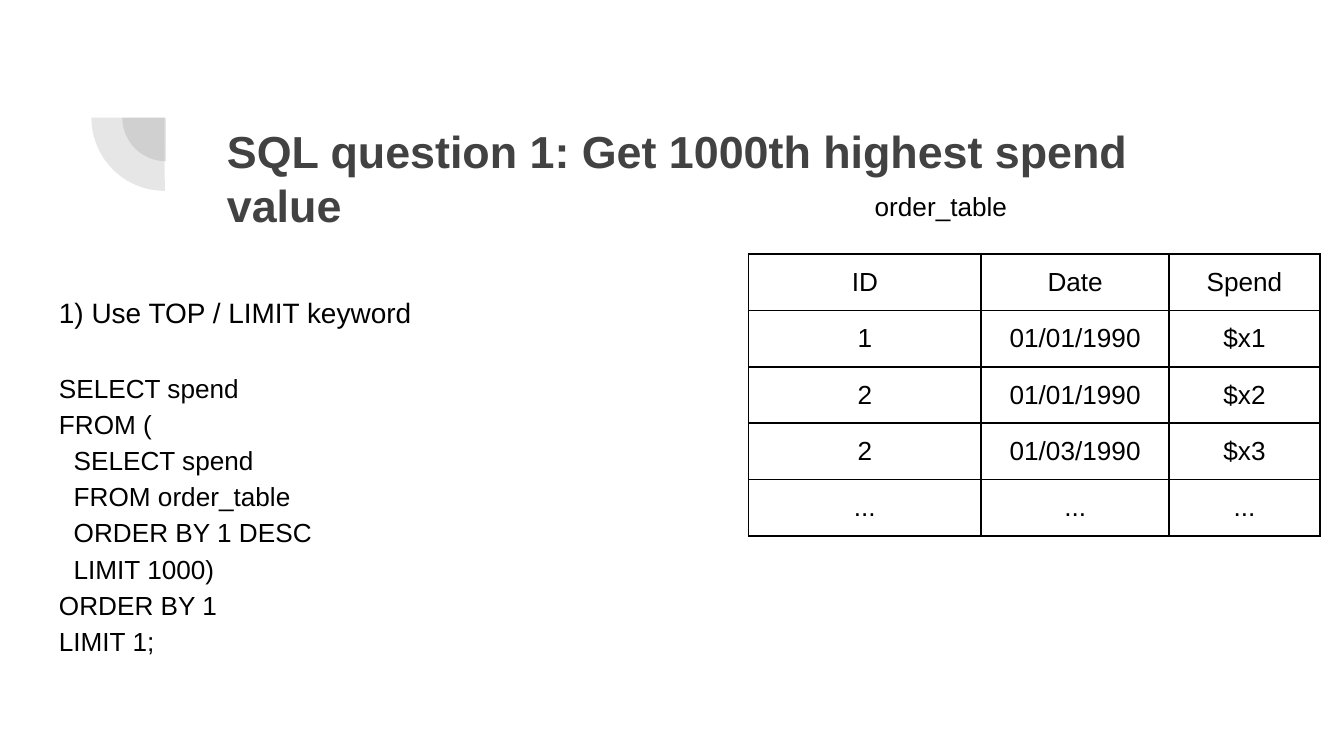
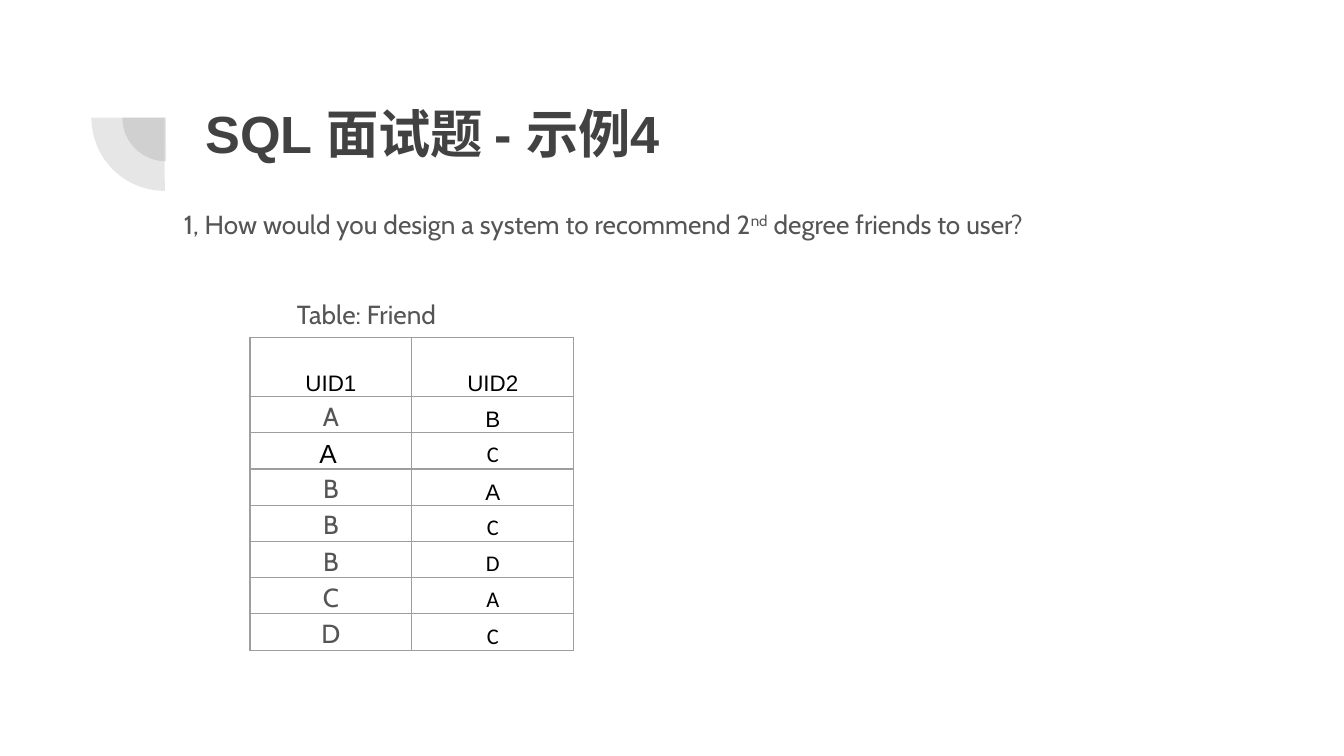
from dataclasses import dataclass
from lxml import etree
from pptx import Presentation
from pptx.dml.color import RGBColor
from pptx.enum.shapes import MSO_SHAPE
from pptx.enum.text import MSO_ANCHOR, PP_ALIGN
from pptx.oxml import parse_xml
from pptx.oxml.ns import nsdecls, qn
from pptx.util import Inches, Pt

PIE = MSO_SHAPE.PIE
TOP, BOTTOM = MSO_ANCHOR.TOP, MSO_ANCHOR.BOTTOM
CENTER = PP_ALIGN.CENTER


@dataclass(frozen=True)
class Theme:
    """Colours and text styles shared by the slides."""
    black: str = "000000"
    dark: str = "424242"
    gray: str = "555555"
    rule: str = "9E9E9E"
    sans: str = "Arial"
    body: str = "Cabin"
    alt: str = "Calibri"
    small: int = 12
    text: int = 14
    lead: int = 15
    head: int = 24
    big: int = 28

    def style(self, size=text, name=sans, color=black, bold=False):
        """Return the format values of one text style."""
        return {"size": Pt(size), "name": name, "bold": bold, "color": color}


class Deck:
    """Holds the theme and the current slide, and draws on it."""

    def __init__(self):
        """Start an empty deck in 16:9."""
        self.theme = Theme()
        self.prs = Presentation()
        self.prs.slide_width = Inches(10)
        self.prs.slide_height = Inches(10 * 9 / 16)

    def page(self):
        """Add a slide with the two quarter discs."""
        self.slide = self.prs.slides.add_slide(self.prs.slide_layouts[6])
        self.disc(0.91, 0.55, 0.65)
        self.disc(0.68, 0.33, 1.09)

    def disc(self, left, top, size):
        """Draw the lower left quarter of a disc."""
        pie = self.slide.shapes.add_shape(
            PIE, *map(Inches, (left, top, size, size)))
        pie.rotation = 270
        pie.adjustments[0], pie.adjustments[1] = 107.93, 162
        pie.shadow.inherit = False
        pie.fill.solid()
        pie.fill.fore_color.rgb = RGBColor.from_string(self.theme.dark)
        tint = pie._element.spPr.find(".//" + qn("a:srgbClr"))
        etree.SubElement(tint, qn("a:alpha")).set("val", "13000")
        pie.line.fill.background()

    def run(self, para, text, style, base=0):
        """Add one styled run, raised by base percent."""
        run = para.add_run()
        run.text = text
        for key, value in style.items():
            if key == "color":
                run.font.color.rgb = RGBColor.from_string(value)
            else:
                setattr(run.font, key, value)
        if base:
            run._r.get_or_add_rPr().set("baseline", str(base * 1000))

    def box(self, at, pad=0.1, wrap=True):
        """Add a text box and return its frame."""
        frame = self.slide.shapes.add_textbox(*map(Inches, at)).text_frame
        form = {"word_wrap": wrap, "vertical_anchor": TOP,
                "margin_top": Inches(pad), "margin_bottom": Inches(pad)}
        for key, value in form.items():
            setattr(frame, key, value)
        return frame

    def label(self, at, text, style, **form):
        """Write one line of text in a box."""
        self.run(self.box(at, **form).paragraphs[0], text, style)

    def title(self, at, text, size):
        """Write the slide title."""
        theme = self.theme
        self.label(at, text, theme.style(size, color=theme.dark, bold=True))

    def code(self, at, head, lines):
        """Write a heading and code lines given as (depth, text)."""
        theme = self.theme
        frame = self.box(at)
        first = frame.paragraphs[0]
        first.line_spacing = 1.15
        first.space_after = Pt(21)
        self.run(first, head, theme.style(theme.lead))
        for depth, text in lines:
            para = frame.add_paragraph()
            para.line_spacing = 1.15
            para._p.get_or_add_pPr().set("marL", str(Inches(0.11 * depth)))
            self.run(para, text, theme.style())

    def edge(self, cell, color, width):
        """Rule all four sides of a cell."""
        for side in "LRTB":
            cell._tc.get_or_add_tcPr().append(parse_xml(
                f'<a:ln{side} {nsdecls("a")} w="{Pt(width)}"><a:solidFill>'
                f'<a:srgbClr val="{color}"/></a:solidFill></a:ln{side}>'))

    def table(self, at, cols, tall, rows, rule, pads, anchor):
        """Draw a ruled table of (text, style) cells."""
        shape = self.slide.shapes.add_table(
            len(rows), len(cols), *map(Inches, (*at, sum(cols), sum(tall))))
        grid = shape.table
        grid.first_row = grid.horz_banding = False
        for col, width in zip(grid.columns, cols):
            col.width = Inches(width)
        names = ("margin_left", "margin_right", "margin_top", "margin_bottom")
        form = dict(zip(names, map(Inches, pads)), vertical_anchor=anchor)
        for i, row in enumerate(rows):
            grid.rows[i].height = Inches(tall[i])
            for j, (text, style) in enumerate(row):
                cell = grid.cell(i, j)
                for key, value in form.items():
                    setattr(cell, key, value)
                para = cell.text_frame.paragraphs[0]
                para.alignment = CENTER
                self.run(para, text, style)
                self.edge(cell, *rule)
                cell.fill.background()


def spend(deck):
    """Build the slide on the 1000th highest spend."""
    theme = deck.theme
    plain = theme.style()
    deck.page()
    deck.code((0.34, 2.06, 9, 0.63), "1) Use TOP / LIMIT keyword", [
        (0, "SELECT spend"), (0, "FROM ("), (1, "SELECT spend"),
        (1, "FROM order_table"), (1, "ORDER BY 1 DESC"), (1, "LIMIT 1000)"),
        (0, "ORDER BY 1"), (0, "LIMIT 1;")])
    data = [("ID", "Date", "Spend"), ("1", "01/01/1990", "$x1"),
            ("2", "01/01/1990", "$x2"), ("2", "01/03/1990", "$x3"),
            ("...",) * 3]
    rows = [[(text, plain) for text in row] for row in data]
    deck.table((5.57, 1.89), (1.73, 1.4, 1.12), [0.42] * 5, rows,
               (theme.black, 1), (0.1, 0.1, 0.1, 0.08), TOP)
    deck.label((6.41, 1.32, 2.78, 0.39), "order_table", plain)
    deck.title((1.59, 0.82, 7.69, 1.09),
               "SQL question 1: Get 1000th highest spend value", theme.head)


def friend(deck):
    """Build the slide on second degree friends."""
    theme = deck.theme
    soft = theme.style(name=theme.body, color=theme.gray)
    small = theme.style(theme.small)
    alt = theme.style(theme.small, theme.alt)
    deck.page()
    deck.title((1.43, 0.65, 7.69, 0.58), "SQL 面试题 - 示例4", theme.big)
    rows = [[("UID1", small), ("UID2", small)],
            [("A", soft), ("B", small)],
            [("A ", theme.style()), ("C", alt)],
            [("B", soft), ("A", small)]]
    rows += [[(one, soft), (two, alt)] for one, two in ("BC", "BD", "CA", "DC")]
    deck.table((1.86, 2.51), [2.41 / 2] * 2, [0.44] + [0.27] * 7, rows,
               (theme.rule, 0.75), (0.01, 0.01, 0.01, 0), BOTTOM)
    deck.label((2.11, 2.17, 1.35, 0.34), "Table: Friend", soft,
               pad=0.05, wrap=False)
    para = deck.box((1.27, 1.5, 7.84, 0.34), pad=0.05).paragraphs[0]
    for text, base in (("1, How would you design a system to recommend 2", 0),
                       ("nd", 30), (" degree friends to user?", 0)):
        deck.run(para, text, soft, base)


def main():
    """Build and save the deck."""
    deck = Deck()
    spend(deck)
    friend(deck)
    deck.prs.save("out.pptx")


if __name__ == "__main__":
    main()
